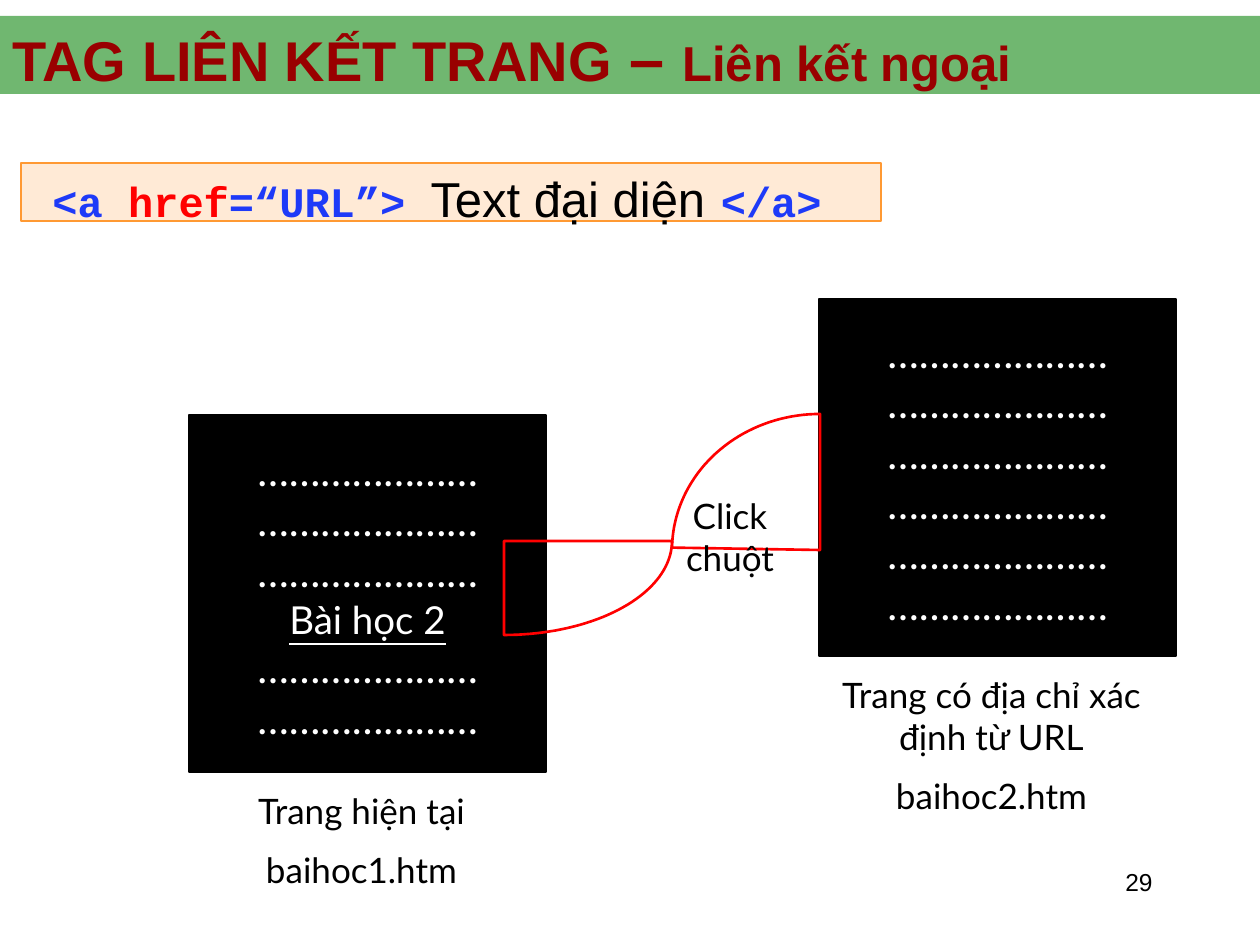
"""Builds the slide that explains external links with the HTML anchor tag."""
from dataclasses import dataclass
from math import cos, radians, sin

from lxml.etree import SubElement
from pptx import Presentation
from pptx.dml.color import RGBColor
from pptx.enum.shapes import MSO_SHAPE
from pptx.enum.text import MSO_ANCHOR, PP_ALIGN
from pptx.oxml.ns import qn
from pptx.util import Emu, Pt

SCALE = 914400 / 126


@dataclass(frozen=True)
class Theme:
    band: str = "008000"
    title: str = "990000"
    page: str = "000000"
    page_text: str = "FFFFFF"
    text: str = "000000"
    code: str = "1E3AF8"
    accent: str = "FF0000"
    code_fill: str = "FFCC99"
    code_line: str = "FF9933"
    sans: str = "Arial"
    mono: str = "Courier New"
    body: str = "Lato"
    number_size: int = 14
    label_size: int = 20
    link_size: int = 22
    code_size: int = 24
    sample_size: int = 28
    title_size: int = 32
    dash_size: int = 36


THEME = Theme()
DOTS = "…………………"
LINK = "Bài học 2"
PAGE_SIZE = 357
LABEL_OFFSET = (10, 368)
LABEL_WIDTH = 325
PAGES = [
    {"corner": (189, 415), "lines": [DOTS] * 3 + [LINK] + [DOTS] * 2,
     "label": ["Trang hiện tại", "baihoc1.htm"], "label_height": 117},
    {"corner": (819, 299), "lines": [DOTS] * 6,
     "label": ["Trang có địa chỉ xác định từ URL", "baihoc2.htm"], "label_height": 160},
]
ARCS = [
    {"centre": (820, 550), "radii": (-148, -136), "sweep": 89},
    {"centre": (504, 541), "radii": (168, 94), "sweep": 90},
]
TITLE = [
    ("TAG LIÊN KẾT TRANG", THEME.title_size),
    (" – ", THEME.dash_size),
    ("Liên kết ngoại", THEME.sample_size),
]
CODE = [
    ("<a ", THEME.mono, THEME.code_size, THEME.code, True),
    ("href", THEME.mono, THEME.code_size, THEME.accent, True),
    ("=“URL”> ", THEME.mono, THEME.code_size, THEME.code, True),
    ("Text đại diện", THEME.sans, THEME.sample_size, THEME.text, False),
    (" ", THEME.sans, THEME.title_size, THEME.text, False),
    ("</a>", THEME.mono, THEME.code_size, THEME.code, True),
]


def px(value):
    return Emu(round(value * SCALE))


def add_box(slide, left, top, width, height, fill, line=None, opacity=100):
    shape = slide.shapes.add_shape(MSO_SHAPE.RECTANGLE, *map(px, (left, top, width, height)))
    shape.shadow.inherit = False
    shape.fill.solid()
    shape.fill.fore_color.rgb = RGBColor.from_string(fill)
    if opacity < 100:
        color = shape.fill._xPr.find(qn("a:solidFill"))[0]
        SubElement(color, qn("a:alpha")).set("val", str(opacity * 1000))
    if line:
        shape.line.color.rgb = RGBColor.from_string(line)
        shape.line.width = Pt(0.75)
    else:
        shape.line.fill.background()
    shape.text_frame.word_wrap = True
    return shape


def add_run(paragraph, text, font, size, color, bold=False, underline=False):
    run = paragraph.add_run()
    run.text = text
    run.font.name = font
    run.font.size = Pt(size)
    run.font.color.rgb = RGBColor.from_string(color)
    run.font.bold = bold
    run.font.underline = underline


def add_paragraph(frame, index, alignment):
    paragraph = frame.add_paragraph() if index else frame.paragraphs[0]
    paragraph.alignment = alignment
    return paragraph


def add_text(slide, left, top, width, height, lines=(), alignment=PP_ALIGN.CENTER,
             font=THEME.body, size=THEME.label_size):
    frame = slide.shapes.add_textbox(*map(px, (left, top, width, height))).text_frame
    frame.word_wrap = True
    for index, text in enumerate(lines):
        paragraph = add_paragraph(frame, index, alignment)
        if index:
            paragraph.space_before = Pt(10)
        add_run(paragraph, text, font, size, THEME.text)
    return frame


def add_title(slide):
    add_box(slide, 0, 16, 1260, 78, THEME.band, opacity=56)
    frame = add_text(slide, 0, 30, 1260, 53)
    frame.vertical_anchor = MSO_ANCHOR.MIDDLE
    for text, size in TITLE:
        add_run(frame.paragraphs[0], text, THEME.sans, size, THEME.title, bold=True)


def add_page(slide, page):
    left, top = page["corner"]
    frame = add_box(slide, left, top, PAGE_SIZE, PAGE_SIZE, THEME.page, THEME.page).text_frame
    frame.vertical_anchor = MSO_ANCHOR.MIDDLE
    for index, text in enumerate(page["lines"]):
        paragraph = add_paragraph(frame, index, PP_ALIGN.CENTER)
        is_link = text == LINK
        size = THEME.link_size if is_link else THEME.code_size
        add_run(paragraph, text, THEME.body, size, THEME.page_text, underline=is_link)
    add_text(slide, left + LABEL_OFFSET[0], top + LABEL_OFFSET[1], LABEL_WIDTH,
             page["label_height"], page["label"])


def add_arc(slide, arc):
    (centre_x, centre_y), (radius_x, radius_y) = arc["centre"], arc["radii"]
    angles = [radians(arc["sweep"] * step / 40) for step in range(41)]
    points = [(centre_x + radius_x * sin(angle), centre_y + radius_y * cos(angle))
              for angle in angles]
    builder = slide.shapes.build_freeform(*map(px, points[0]), scale=1.0)
    corners = points[1:] + [arc["centre"]]
    builder.add_line_segments([(px(x), px(y)) for x, y in corners], close=True)
    shape = builder.convert_to_shape()
    shape.shadow.inherit = False
    shape.fill.background()
    shape.line.color.rgb = RGBColor.from_string(THEME.accent)
    shape.line.width = Pt(1.5)


def add_code(slide):
    frame = add_box(slide, 21, 163, 860, 58, THEME.code_fill, THEME.code_line, 40).text_frame
    frame.vertical_anchor = MSO_ANCHOR.TOP
    frame.margin_left = 0
    paragraph = add_paragraph(frame, 0, PP_ALIGN.LEFT)
    paragraph.line_spacing = 0.9
    properties = paragraph._p.get_or_add_pPr()
    properties.set("marL", str(px(63)))
    properties.set("indent", str(-px(31.5)))
    for run in CODE:
        add_run(paragraph, *run)


def main():
    presentation = Presentation()
    presentation.slide_width, presentation.slide_height = px(1260), px(945)
    slide = presentation.slides.add_slide(presentation.slide_layouts[6])
    add_text(slide, 903, 861, 262, 63, ["29"], PP_ALIGN.RIGHT, THEME.sans, THEME.number_size)
    add_title(slide)
    for page in PAGES:
        add_page(slide, page)
    for arc in ARCS:
        add_arc(slide, arc)
    add_text(slide, 651, 488, 158, 97, ["Click chuột"])
    add_code(slide)
    presentation.save("out.pptx")


if __name__ == "__main__":
    main()
